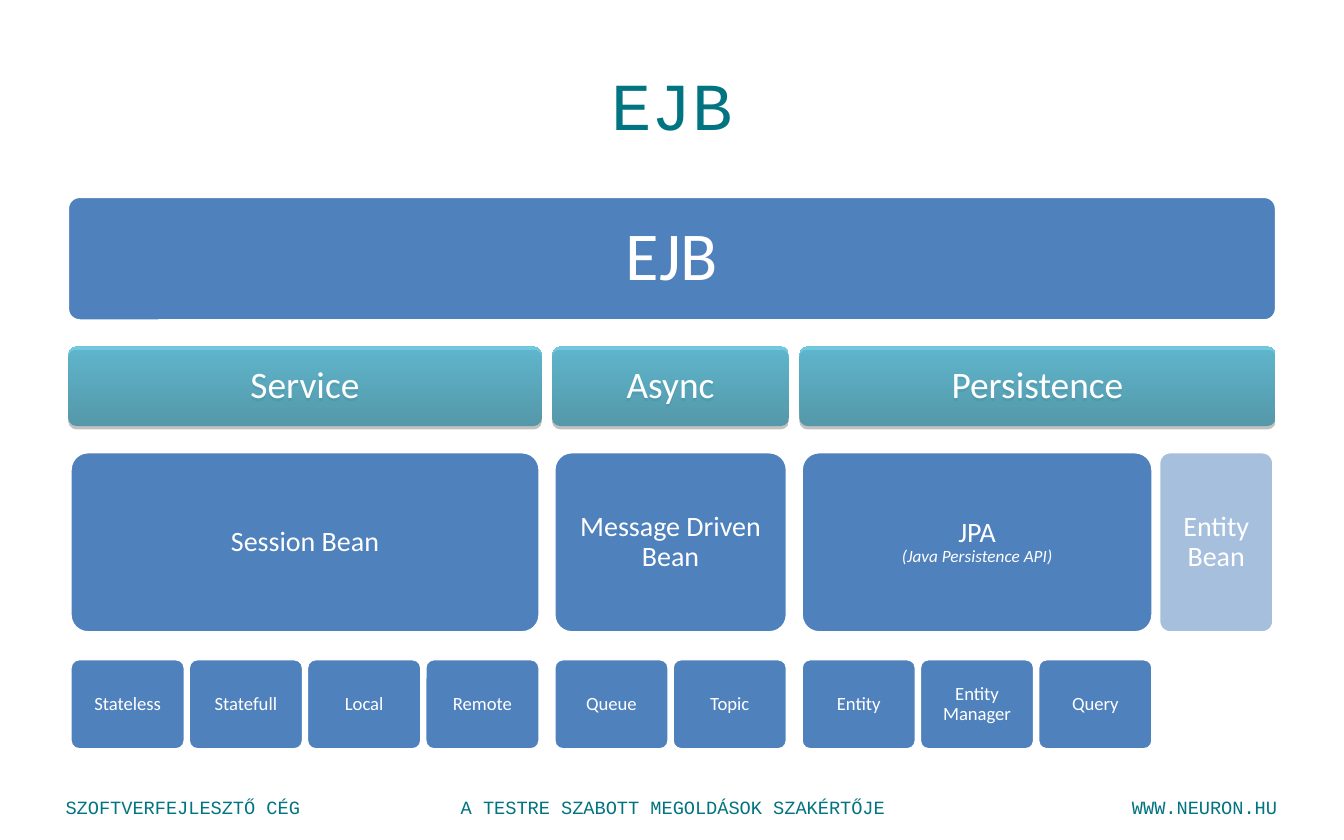
from lxml import etree
from pptx import Presentation, util as u
from pptx.dml.color import RGBColor
from pptx.enum import shapes, text
from pptx.oxml.ns import qn

TEAL = RGBColor(0x00, 0x74, 0x80)
BLUE = RGBColor(0x4F, 0x81, 0xBD)
WHITE = RGBColor(0xFF, 0xFF, 0xFF)
AQUA_DARK = RGBColor(0x27, 0x87, 0xA0)
AQUA = RGBColor(0x36, 0xB1, 0xD2)

TITLE = "EJB"
GROUPS = [
    ("Service", [("Session Bean", ["Stateless", "Statefull", "Local", "Remote"])]),
    ("Async", [("Message Driven Bean", ["Queue", "Topic"])]),
    ("Persistence", [
        ("JPA", ["Entity", "Entity\nManager", "Query"]),
        ("Entity Bean", []),
    ]),
]
NOTES = {"JPA": "(Java Persistence API)"}
FADED = {"Entity Bean": 50}
FOOTERS = [
    ("SZOFTVERFEJLESZTŐ CÉG", 0.39, 2.36, text.PP_ALIGN.LEFT),
    ("WWW.NEURON.HU", 7.24, 2.36, text.PP_ALIGN.RIGHT),
    ("A TESTRE SZABOTT MEGOLDÁSOK SZAKÉRTŐJE", 3.31, 3.39, text.PP_ALIGN.CENTER),
]

ROOT = {"top": 1.46, "height": 0.93, "size": 36.7, "after": 15, "inset": 0.14}
CATEGORY = {"top": 2.58, "height": 0.59, "size": 20, "after": 8.3, "inset": 0.07}
BEAN = {"top": 3.36, "height": 1.35, "size": 15, "after": 6.7, "inset": 0.05}
LEAF = {"top": 4.9, "height": 0.68, "size": 10, "after": 4.2, "inset": 0.03}

LEFT, LEAF_WIDTH, LEAF_PITCH = 0.52, 0.86, 0.88
BEAN_GAP, GROUP_GAP, CATEGORY_MARGIN = 0.04, 0.1, 0.01
CORNER = 0.1


def apply(target, values):
    for name, value in values.items():
        setattr(target, name, value)


def style_font(font, name, size, color, italic=None):
    apply(font, {"name": name, "size": u.Pt(size), "italic": italic})
    font.color.rgb = color


def set_alpha(color_element, percent):
    etree.SubElement(color_element, qn("a:alpha"), val=str(percent * 1000))


def add_box(slide, label, left, width, level):
    shape = slide.shapes.add_shape(
        shapes.MSO_SHAPE.ROUNDED_RECTANGLE, u.Inches(left), u.Inches(level["top"]),
        u.Inches(width), u.Inches(level["height"]))
    shape.adjustments[0] = CORNER
    shape.shadow.inherit = False
    shape.fill.solid()
    shape.fill.fore_color.rgb = BLUE
    shape.line.color.rgb = WHITE
    shape.line.width = u.Pt(2)
    if label in FADED:
        set_alpha(shape.fill._xPr.find(".//" + qn("a:srgbClr")), FADED[label])

    frame = shape.text_frame
    inset = u.Inches(level["inset"])
    apply(frame, {"word_wrap": True, "vertical_anchor": text.MSO_ANCHOR.MIDDLE,
                  "margin_left": inset, "margin_right": inset,
                  "margin_top": inset, "margin_bottom": inset})
    paragraph = frame.paragraphs[0]
    paragraph.text = label
    apply(paragraph, {"alignment": text.PP_ALIGN.CENTER, "line_spacing": 0.9,
                      "space_after": u.Pt(level["after"])})
    for run in paragraph.runs:
        style_font(run.font, "Calibri", level["size"], WHITE)
    if label in NOTES:
        paragraph.add_line_break()
        run = paragraph.add_run()
        run.text = NOTES[label]
        style_font(run.font, "Calibri", 9.2, WHITE, True)
    return shape


def add_category(slide, label, left, width):
    shape = add_box(slide, label, left, width, CATEGORY)
    shape.line.fill.background()
    shape.fill.gradient()
    shape.fill.gradient_angle = 90
    for stop, color in zip(shape.fill.gradient_stops, (AQUA_DARK, AQUA)):
        stop.color.rgb = color
    properties = shape._element.spPr
    for color_element in properties.find(qn("a:gradFill")).iter(qn("a:srgbClr")):
        set_alpha(color_element, 70)
    shadow = etree.SubElement(
        properties.find(qn("a:effectLst")), qn("a:outerShdw"),
        blurRad="0", dist=str(u.Pt(1.8)), dir="5400000", rotWithShape="0")
    set_alpha(etree.SubElement(shadow, qn("a:srgbClr"), val="000000"), 35)


def add_hierarchy(slide):
    add_box(slide, TITLE, 0.5, 9, ROOT)
    left = LEFT
    for category, beans in GROUPS:
        start = left
        for index, (bean, leaves) in enumerate(beans):
            left += BEAN_GAP if index else 0
            width = LEAF_PITCH * (max(len(leaves), 1) - 1) + LEAF_WIDTH
            add_box(slide, bean, left, width, BEAN)
            for position, leaf in enumerate(leaves):
                add_box(slide, leaf, left + position * LEAF_PITCH, LEAF_WIDTH, LEAF)
            left += width
        add_category(slide, category, start - CATEGORY_MARGIN,
                     left - start + 2 * CATEGORY_MARGIN)
        left += GROUP_GAP


def add_title(slide):
    title = slide.shapes.title
    apply(title, {"left": u.Inches(0.5), "top": u.Inches(0.25),
                  "width": u.Inches(9), "height": u.Inches(1.04)})
    title.text_frame.vertical_anchor = text.MSO_ANCHOR.MIDDLE
    paragraph = title.text_frame.paragraphs[0]
    paragraph.text = TITLE
    paragraph.alignment = text.PP_ALIGN.CENTER
    style_font(paragraph.runs[0].font, "Courier New", 36, TEAL)


def add_footers(slide):
    for label, left, width, alignment in FOOTERS:
        box = slide.shapes.add_textbox(
            u.Inches(left), u.Inches(5.87), u.Inches(width), u.Inches(0.27))
        box.text_frame.word_wrap = True
        paragraph = box.text_frame.paragraphs[0]
        paragraph.text = label
        paragraph.alignment = alignment
        style_font(paragraph.runs[0].font, "Courier New", 10, TEAL)


def main():
    presentation = Presentation()
    presentation.slide_width = u.Inches(10)
    presentation.slide_height = u.Inches(6.25)
    slide = presentation.slides.add_slide(presentation.slide_layouts[5])
    add_footers(slide)
    add_title(slide)
    add_hierarchy(slide)
    presentation.save("out.pptx")


if __name__ == "__main__":
    main()
